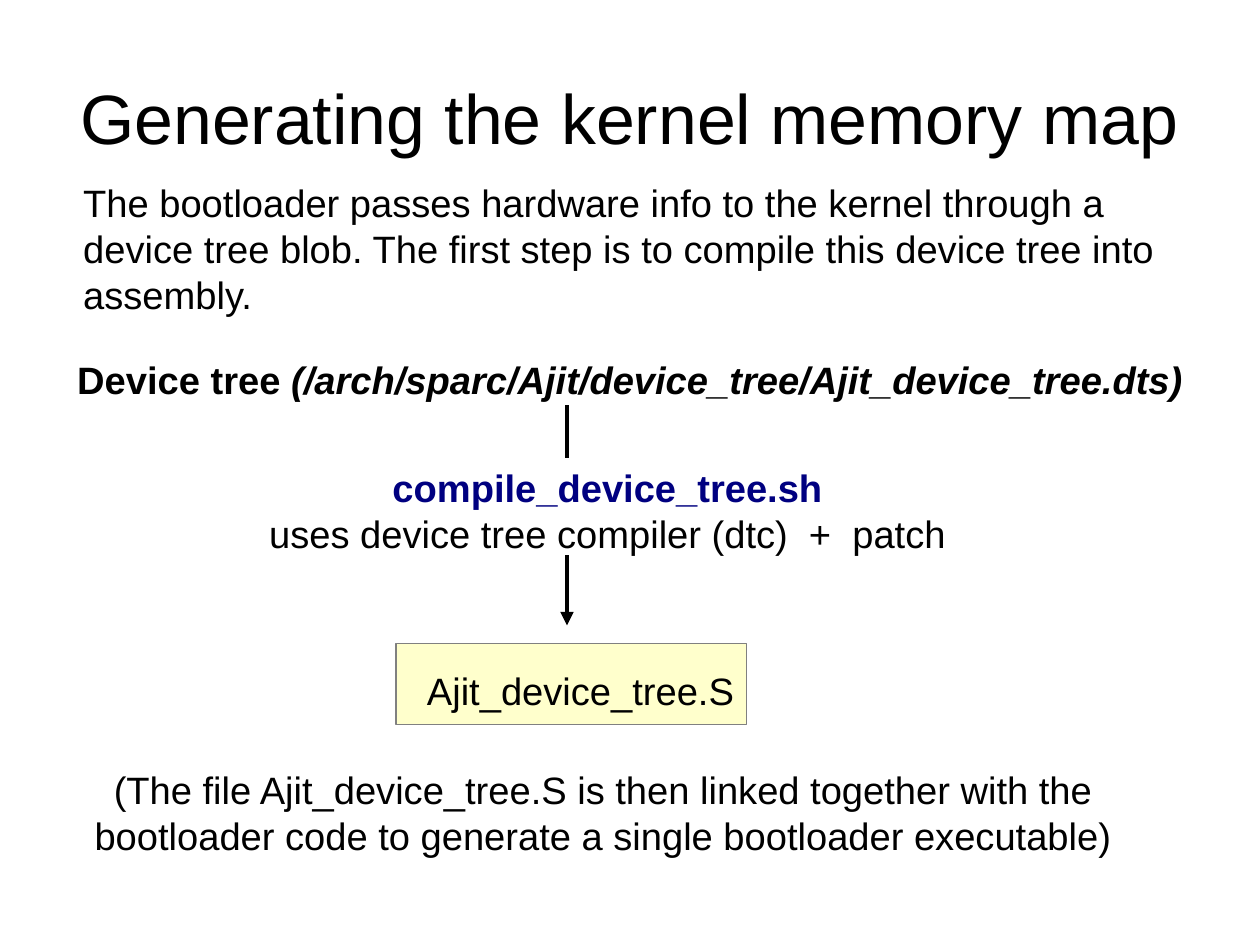
from pptx import Presentation
from pptx.dml.color import RGBColor
from pptx.enum.shapes import MSO_CONNECTOR, MSO_SHAPE
from pptx.enum.text import MSO_ANCHOR, PP_ALIGN
from pptx.oxml.ns import qn
from pptx.util import Cm, Pt
from lxml.etree import SubElement

BLACK, NAVY, WHITE = "000000", "000080", "FFFFFF"
CREAM, GREY = "FFFFCC", "808080"


def color(code):
    return RGBColor.from_string(code)


def write(frame, lines, size=24, align=PP_ALIGN.CENTER,
          anchor=MSO_ANCHOR.TOP, pad=(0.25, 0.13)):
    """Each line is a list of runs: (text, colour, bold, italic)."""
    frame.word_wrap = True
    frame.vertical_anchor = anchor
    frame.margin_left = frame.margin_right = Cm(pad[0])
    frame.margin_top = frame.margin_bottom = Cm(pad[1])
    for i, line in enumerate(lines):
        para = frame.add_paragraph() if i else frame.paragraphs[0]
        para.alignment = align
        for text, code, bold, italic in line:
            run = para.add_run()
            run.text = text
            font = run.font
            font.name, font.size = "Arial", Pt(size)
            font.bold, font.italic = bold, italic
            font.color.rgb = color(code)


def add_text(slide, box, lines, **style):
    shape = slide.shapes.add_textbox(*map(Cm, box))
    write(shape.text_frame, lines, **style)


def add_rect(slide, box, fill, edge):
    rect = slide.shapes.add_shape(MSO_SHAPE.RECTANGLE, *map(Cm, box))
    rect.shadow.inherit = False
    rect.fill.solid()
    rect.fill.fore_color.rgb = color(fill)
    rect.line.color.rgb = color(edge)
    rect.line.width = Pt(0)
    return rect


def add_arrow(slide, x, top, end):
    arrow = slide.shapes.add_connector(
        MSO_CONNECTOR.STRAIGHT, Cm(x), Cm(top), Cm(x), Cm(end))
    arrow.line.color.rgb = color(BLACK)
    arrow.line.width = Pt(2.83)
    SubElement(arrow.line._get_or_add_ln(), qn("a:tailEnd"), type="triangle")
    SubElement(arrow._element.spPr, qn("a:effectLst"))


def add_title(slide, box):
    add_text(slide, box,
             [[("Generating the kernel memory map", BLACK, False, False)]],
             size=44, anchor=MSO_ANCHOR.MIDDLE, pad=(0, 0))


def add_intro(slide, box):
    text = ("The bootloader passes hardware info to the kernel through a "
            "device tree blob. The first step is to compile this device "
            "tree into assembly.")
    add_text(slide, box, [[(text, BLACK, False, False)]], align=PP_ALIGN.LEFT)


def add_flow(slide, box):
    left, top, width, height = box
    # Source file
    add_text(slide, (left, top, width, 1.2), [[
        ("Device tree ", BLACK, True, False),
        ("(/arch/sparc/Ajit/device_tree/Ajit_device_tree.dts)",
         BLACK, True, True)]])
    # Arrow, partly hidden by the compile step
    add_arrow(slide, left + 11.2, top + 1.2, top + 6.1)
    step = add_rect(slide, (left + 1, top + 2.4, 22.2, 2.13), WHITE, WHITE)
    write(step.text_frame, [
        [("compile_device_tree.sh", NAVY, True, False)],
        [("uses device tree compiler (dtc)  +  patch", BLACK, False, False)]])
    # Result
    add_rect(slide, (left + 7.4, top + height - 1.8, 7.8, 1.8), CREAM, GREY)
    add_text(slide, (left + 5.2, top + height - 1.4, 12.6, 1.2),
             [[("Ajit_device_tree.S", BLACK, False, False)]])


def add_note(slide, box):
    text = ("(The file Ajit_device_tree.S is then linked together with the "
            "bootloader code to generate a single bootloader executable)")
    add_text(slide, box, [[(text, BLACK, False, False)]])


def main():
    deck = Presentation()
    deck.slide_width, deck.slide_height = Cm(28), Cm(21)
    slide = deck.slides.add_slide(deck.slide_layouts[6])
    add_title(slide, (1.4, 0.84, 25.2, 3.5))
    add_intro(slide, (1.6, 3.86, 25.2, 3.07))
    add_flow(slide, (1.4, 7.8, 25.2, 8.3))
    add_note(slide, (1.2, 16.9, 24.4, 2.4))
    deck.save("out.pptx")


if __name__ == "__main__":
    main()
